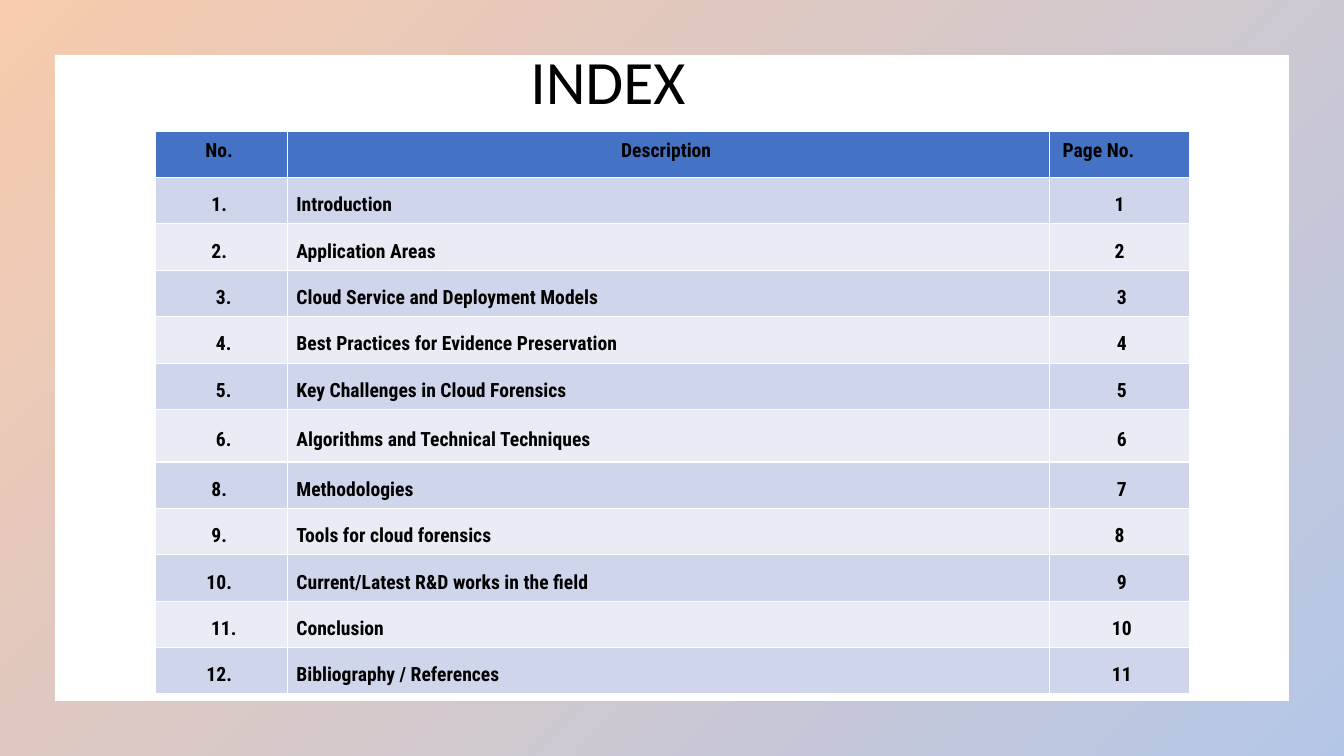
"""Build the index slide: a gradient frame, a title and a table of contents."""
from typing import NamedTuple

from lxml import etree
from pptx import Presentation
from pptx.dml.color import RGBColor
from pptx.enum.shapes import MSO_SHAPE
from pptx.enum.text import MSO_ANCHOR, MSO_AUTO_SIZE, PP_ALIGN
from pptx.oxml.ns import qn
from pptx.util import Cm, Pt

FRAME = MSO_SHAPE.FRAME
TOP, MIDDLE = MSO_ANCHOR.TOP, MSO_ANCHOR.MIDDLE
LEFT, CENTER = PP_ALIGN.LEFT, PP_ALIGN.CENTER
NO_FIT = MSO_AUTO_SIZE.NONE

COLOURS = {
    "text": "000000",
    "frame_start": "ED7D31",
    "frame_end": "4472C4",
    "header": "4472C4",
    "odd_row": "CFD5EA",
    "even_row": "E9EBF5",
}
FRAME_OPACITY = 40
COLUMN_WIDTHS = (3.33, 19.2, 3.53)
ROW_HEIGHT, TALL_ROW_HEIGHT = 1.17, 1.32
TALL_ROW = 6
INSET_LEFT, INSET_TOP, INSET_RIGHT = 0.23, 0.18, 0.1
SHIFT = 0.23
HALF_SHIFT = 0.11


class Entry(NamedTuple):
    """One line of the index, with extra right insets in centimetres."""

    number: str
    description: str
    page: str
    number_shift: float = 0
    page_shift: float = 0


ENTRIES = (
    Entry("1.", "Introduction", "1", SHIFT, HALF_SHIFT),
    Entry("2.", "Application Areas", "2", SHIFT, HALF_SHIFT),
    Entry("3.", "Cloud Service and Deployment Models", "3"),
    Entry("4.", "Best Practices for Evidence Preservation", "4"),
    Entry("5.", "Key Challenges in Cloud Forensics", "5"),
    Entry("6.", "Algorithms and Technical Techniques", "6"),
    Entry("8.", "Methodologies", "7", SHIFT),
    Entry("9.", "Tools for cloud forensics", "8", SHIFT, HALF_SHIFT),
    Entry("10.", "Current/Latest R&D works in the field", "9", SHIFT),
    Entry("11.", "Conclusion", "10"),
    Entry("12.", "Bibliography / References", "11", SHIFT),
)


def colour(name: str) -> RGBColor:
    """Return the named colour."""
    return RGBColor.from_string(COLOURS[name])


def write(text_frame, text: str, *, font: str = "Roboto Condensed", size: float = 14,
          bold: bool = True, align=LEFT, line_spacing: float = 1.07,
          space_after: float = 8) -> None:
    """Write one formatted paragraph."""
    para = text_frame.paragraphs[0]
    para.alignment = align
    para.line_spacing = line_spacing
    para.space_after = Pt(space_after)
    span = para.add_run()
    span.text = text
    span.font.name = font
    span.font.size = Pt(size)
    span.font.bold = bold
    span.font.color.rgb = colour("text")


def add_frame(page, width: int, height: int) -> None:
    """Add the translucent gradient frame behind everything else."""
    frame = page.shapes.add_shape(FRAME, 0, 0, width, height)
    frame.shadow.inherit = False
    frame.adjustments[0] = 0.072
    frame.line.fill.background()
    frame.fill.gradient()
    frame.fill.gradient_angle = 315
    for stop, name in zip(frame.fill.gradient_stops, ("frame_start", "frame_end")):
        stop.color.rgb = colour(name)
    for tint in frame.element.spPr.iter(qn("a:srgbClr")):
        etree.SubElement(tint, qn("a:alpha")).set("val", str(FRAME_OPACITY * 1000))
    page.shapes.element.insert(2, frame.element)


def add_title(page) -> None:
    """Place and format the slide title."""
    title = page.shapes.title
    title.left, title.top, title.width, title.height = Cm(13.11), Cm(1.17), Cm(16.64), Cm(2.51)
    title.text_frame.auto_size = NO_FIT
    title.text_frame.vertical_anchor = TOP
    write(title.text_frame, "INDEX", font="Calibri", size=44, bold=False,
          line_spacing=0.9, space_after=0)


def fill_cell(cell, text: str, fill: str, *, align=CENTER, anchor=MIDDLE,
              left_shift: float = 0, right_shift: float = 0) -> None:
    """Format one table cell and write its text."""
    cell.fill.solid()
    cell.fill.fore_color.rgb = colour(fill)
    cell.vertical_anchor = anchor
    cell.margin_left = Cm(INSET_LEFT + left_shift)
    cell.margin_top = Cm(INSET_TOP)
    cell.margin_right = Cm(INSET_RIGHT + right_shift)
    cell.margin_bottom = 0
    write(cell.text_frame, text, align=align)


def add_index(page) -> None:
    """Add the table of contents."""
    row_count = len(ENTRIES) + 1
    heights = [TALL_ROW_HEIGHT if row == TALL_ROW else ROW_HEIGHT for row in range(row_count)]
    table = page.shapes.add_table(row_count, len(COLUMN_WIDTHS), Cm(3.91), Cm(3.3),
                                  Cm(sum(COLUMN_WIDTHS)), Cm(sum(heights))).table
    for column, width in zip(table.columns, COLUMN_WIDTHS):
        column.width = Cm(width)
    for row, height in zip(table.rows, heights):
        row.height = Cm(height)

    fill_cell(table.cell(0, 0), "No.", "header", anchor=TOP, right_shift=SHIFT)
    fill_cell(table.cell(0, 1), "Description", "header", anchor=TOP, right_shift=SHIFT)
    fill_cell(table.cell(0, 2), "Page No.", "header", anchor=TOP, align=LEFT,
              left_shift=HALF_SHIFT)
    for row, entry in enumerate(ENTRIES, start=1):
        fill = "odd_row" if row % 2 else "even_row"
        fill_cell(table.cell(row, 0), entry.number, fill, right_shift=entry.number_shift)
        fill_cell(table.cell(row, 1), entry.description, fill, align=LEFT)
        fill_cell(table.cell(row, 2), entry.page, fill, right_shift=entry.page_shift)


def main() -> None:
    """Build and save the deck."""
    deck = Presentation()
    deck.slide_width, deck.slide_height = Cm(33.87), Cm(19.05)
    page = deck.slides.add_slide(deck.slide_layouts[5])
    add_frame(page, deck.slide_width, deck.slide_height)
    add_title(page)
    add_index(page)
    deck.save("out.pptx")


if __name__ == "__main__":
    main()
